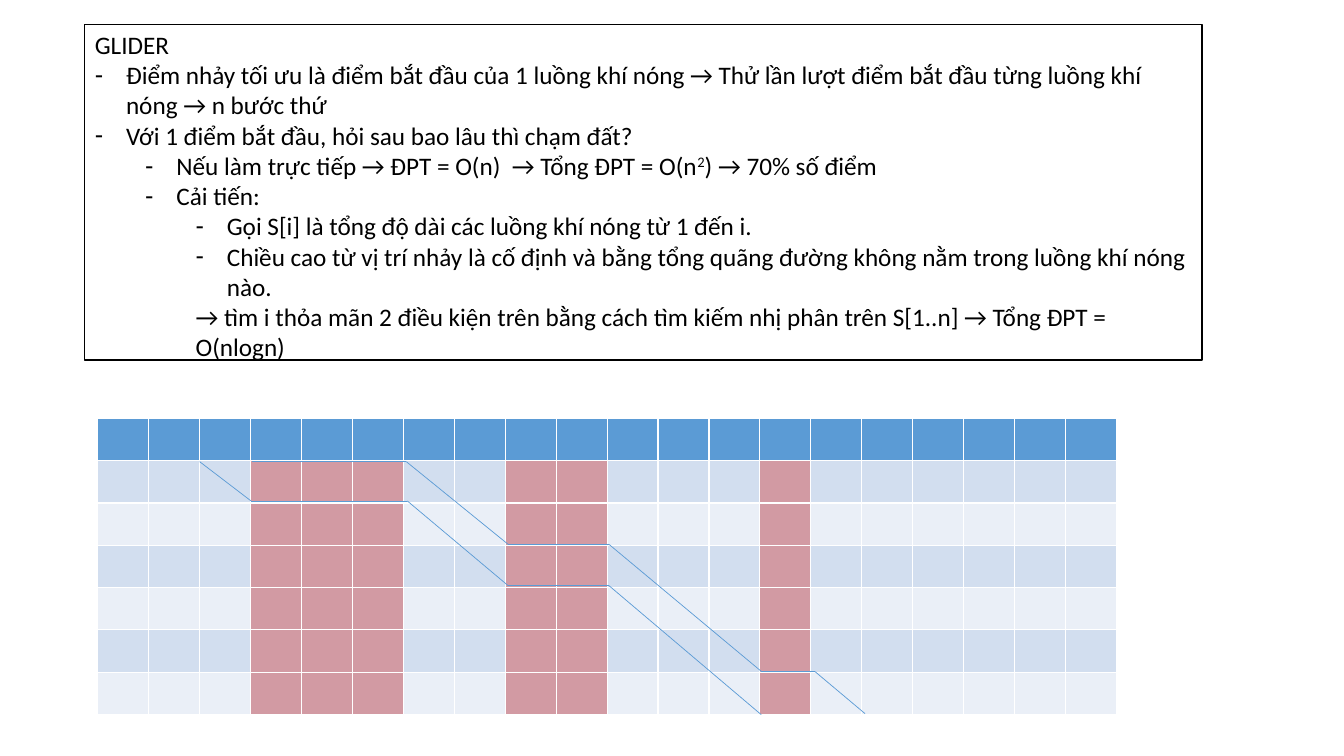
from itertools import pairwise

from pptx import Presentation
from pptx.dml.color import RGBColor
from pptx.enum.shapes import MSO_CONNECTOR
from pptx.enum.text import MSO_ANCHOR, MSO_AUTO_SIZE
from pptx.oxml.xmlchemy import OxmlElement
from pptx.util import Pt

STRAIGHT = MSO_CONNECTOR.STRAIGHT
TOP = MSO_ANCHOR.TOP
FIT_SHAPE = MSO_AUTO_SIZE.SHAPE_TO_FIT_TEXT

WHITE = RGBColor(0xFF, 0xFF, 0xFF)
BLACK = RGBColor(0x00, 0x00, 0x00)
BLUE = RGBColor(0x5B, 0x9B, 0xD5)
BAND_DARK = RGBColor(0xD2, 0xDE, 0xEF)
BAND_LIGHT = RGBColor(0xEA, 0xEF, 0xF7)
HOT_AIR = RGBColor(0xD2, 0x9A, 0xA3)

EMU_PER_PX = 9144  # 100 px to the inch
LEVEL_STEP = 50
HANGING = 31

# Level, whether it has a dash, and the runs; every second run is superscript
SOLUTION = [
    (0, False, ["GLIDER"]),
    (0, True, ["Điểm nhảy tối ưu là điểm bắt đầu của 1 luồng khí nóng → Thử lần lượt "
               "điểm bắt đầu từng luồng khí nóng → n bước thứ"]),
    (0, True, ["Với 1 điểm bắt đầu, hỏi sau bao lâu thì chạm đất?"]),
    (1, True, ["Nếu làm trực tiếp → ĐPT = O(n)  → Tổng ĐPT = O(n", "2",
               ") → 70% số điểm"]),
    (1, True, ["Cải tiến:"]),
    (2, True, ["Gọi S[i] là tổng độ dài các luồng khí nóng từ 1 đến i."]),
    (2, True, ["Chiều cao từ vị trí nhảy là cố định và bằng tổng quãng đường không nằm "
               "trong luồng khí nóng nào."]),
    (2, False, ["→ tìm i thỏa mãn 2 điều kiện trên bằng cách tìm kiếm nhị phân trên "
                "S[1..n] → Tổng ĐPT = O(nlogn)"]),
]

ROWS, COLUMNS = 7, 20
HOT_COLUMNS = {3, 4, 5, 8, 9, 13}
FLIGHTS = [
    [(198, 458), (249, 497), (404, 497), (504, 581), (604, 581), (755, 709)],
    [(250, 458), (403, 458), (504, 540), (604, 540), (755, 666), (808, 666),
     (858, 708)],
]


def px(length):
    return length * EMU_PER_PX


class SlideBuilder:
    def __init__(self, slide, font_name, font_size):
        self.slide = slide
        self.font_name = font_name
        self.font_size = font_size

    def framed_list(self, box, left, top, width, height, items):
        """Turn the body placeholder into a framed list."""
        box.left, box.top, box.width, box.height = map(px, (left, top, width, height))
        box.fill.solid()
        box.fill.fore_color.rgb = WHITE
        box.line.color.rgb = BLACK
        box.line.width = Pt(1)
        frame = box.text_frame
        frame.word_wrap = True
        frame.auto_size = FIT_SHAPE
        frame.vertical_anchor = TOP
        for index, (level, dashed, texts) in enumerate(items):
            para = frame.add_paragraph() if index else frame.paragraphs[0]
            self.format_paragraph(para, level, dashed)
            for position, text in enumerate(texts):
                self.add_span(para, text, superscript=position % 2 == 1)

    def format_paragraph(self, para, level, dashed):
        para.level = level
        para.space_before = Pt(0)
        hanging = HANGING if dashed else 0
        properties = para._p.get_or_add_pPr()
        properties.set("marL", str(px(level * LEVEL_STEP + hanging)))
        properties.set("indent", str(px(-hanging)))
        bullet = OxmlElement("a:buChar" if dashed else "a:buNone")
        if dashed:
            bullet.set("char", "-")
        properties.append(bullet)

    def add_span(self, para, text, superscript):
        span = para.add_run()
        span.text = text
        span.font.name = self.font_name
        span.font.size = self.font_size
        span.font.color.rgb = BLACK
        if superscript:
            span._r.get_or_add_rPr().set("baseline", "30000")

    def air_grid(self, left, top, width, height):
        """Add the banded grid with the hot air columns; its style draws white borders."""
        table = self.slide.shapes.add_table(
            ROWS, COLUMNS, *map(px, (left, top, width, height))).table
        for row in range(ROWS):
            band = BAND_DARK if row % 2 else BAND_LIGHT
            for column in range(COLUMNS):
                fill = table.cell(row, column).fill
                fill.solid()
                if row == 0:
                    fill.fore_color.rgb = BLUE
                else:
                    fill.fore_color.rgb = HOT_AIR if column in HOT_COLUMNS else band

    def flight(self, points):
        """Join the points with thin lines, kept together in a group."""
        group = self.slide.shapes.add_group_shape()
        for start, end in pairwise(points):
            line = group.shapes.add_connector(STRAIGHT, *map(px, start + end))
            line.line.color.rgb = BLUE
            line.line.width = Pt(0.5)
            line._element.spPr.append(OxmlElement("a:effectLst"))


def main():
    deck = Presentation()
    deck.slide_width, deck.slide_height = px(1333), px(750)
    page = deck.slides.add_slide(deck.slide_layouts[1])
    title, body = page.placeholders
    title._element.getparent().remove(title._element)

    builder = SlideBuilder(page, "Calibri", Pt(18))
    builder.framed_list(body, 84, 24, 1108, 343, SOLUTION)
    builder.air_grid(97, 415, 1011, 294)
    for points in FLIGHTS:
        builder.flight(points)
    deck.save("out.pptx")


if __name__ == "__main__":
    main()
